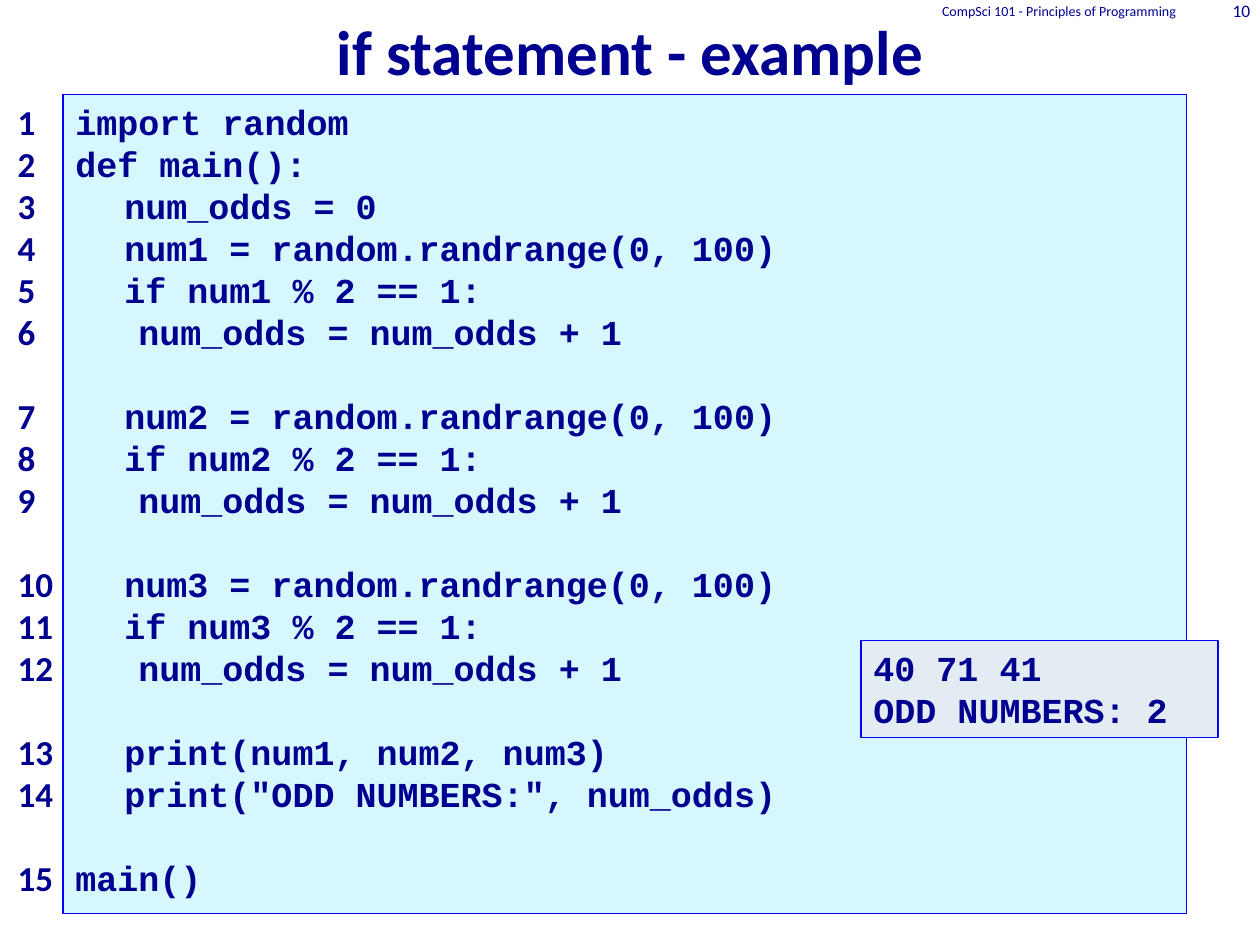
from dataclasses import dataclass

from lxml import etree
from pptx import Presentation
from pptx.dml.color import RGBColor
from pptx.enum.shapes import MSO_SHAPE
from pptx.enum.text import MSO_ANCHOR, PP_ALIGN
from pptx.oxml.ns import qn
from pptx.util import Pt

RECTANGLE = MSO_SHAPE.RECTANGLE
TOP, MIDDLE, BOTTOM = MSO_ANCHOR.TOP, MSO_ANCHOR.MIDDLE, MSO_ANCHOR.BOTTOM
LEFT, CENTER, RIGHT = PP_ALIGN.LEFT, PP_ALIGN.CENTER, PP_ALIGN.RIGHT


@dataclass(frozen=True)
class Theme:
    ink: RGBColor = RGBColor(0x00, 0x00, 0x90)
    border: RGBColor = RGBColor(0x00, 0x00, 0xFF)
    code_fill: RGBColor = RGBColor(0xD7, 0xF7, 0xFF)
    output_fill: RGBColor = RGBColor(0xE3, 0xEB, 0xF3)
    text_font: str = "Calibri"
    code_font: str = "Courier New"
    title_size: int = 36
    code_size: int = 20
    course_size: int = 8
    page_size: int = 10
    line_pitch: int = 24
    tab_stop: int = 28


THEME = Theme()

# Each block of code is separated from the next by one empty line
CODE_BLOCKS = [
    [
        "import random",
        "def main():",
        "\tnum_odds = 0",
        "\tnum1 = random.randrange(0, 100)",
        "\tif num1 % 2 == 1:",
        "\t\tnum_odds = num_odds + 1",
    ],
    *[
        [
            f"\tnum{index} = random.randrange(0, 100)",
            f"\tif num{index} % 2 == 1:",
            "\t\tnum_odds = num_odds + 1",
        ]
        for index in (2, 3)
    ],
    ["\tprint(num1, num2, num3)", '\tprint("ODD NUMBERS:", num_odds)'],
    ["main()"],
]
OUTPUT_LINES = ["40 71 41", "ODD NUMBERS: 2"]


def place(box):
    return [Pt(length) for length in box]


def add_tab_stop(paragraph, position):
    tab_list = etree.SubElement(paragraph._p.get_or_add_pPr(), qn("a:tabLst"))
    etree.SubElement(tab_list, qn("a:tab"), pos=str(Pt(position)), algn="l")


def write_lines(shape, lines, font, size, bold=True, align=LEFT, anchor=TOP):
    """Write (text, space before) pairs, one paragraph each."""
    frame = shape.text_frame
    frame.word_wrap = True
    frame.vertical_anchor = anchor
    for index, (text, space) in enumerate(lines):
        paragraph = frame.paragraphs[0] if index == 0 else frame.add_paragraph()
        paragraph.alignment = align
        if size == THEME.code_size:
            paragraph.line_spacing = Pt(THEME.line_pitch)
            paragraph.space_before = Pt(space)
        if "\t" in text:
            add_tab_stop(paragraph, THEME.tab_stop)
        run = paragraph.add_run()
        run.text = text
        run.font.name = font
        run.font.size = Pt(size)
        run.font.bold = bold
        run.font.color.rgb = THEME.ink


def add_label(slide, box, text, size, bold, align, anchor):
    label = slide.shapes.add_textbox(*place(box))
    write_lines(label, [(text, 0)], THEME.text_font, size, bold, align, anchor)


def add_panel(slide, box, fill, lines):
    panel = slide.shapes.add_shape(RECTANGLE, *place(box))
    panel.shadow.inherit = False
    panel.fill.solid()
    panel.fill.fore_color.rgb = fill
    panel.line.color.rgb = THEME.border
    panel.line.width = Pt(0.75)
    write_lines(panel, lines, THEME.code_font, THEME.code_size)


def add_listing(slide, box):
    """Line numbers in the left margin, code in the panel beside them."""
    left, top, width, height = box
    margin = 33
    code = [
        (line, THEME.line_pitch if block_index and not line_index else 0)
        for block_index, block in enumerate(CODE_BLOCKS)
        for line_index, line in enumerate(block)
    ]
    numbers = [(str(number), space) for number, (_, space) in enumerate(code, 1)]
    gutter = slide.shapes.add_textbox(*place((left, top, 51, height)))
    write_lines(gutter, numbers, THEME.text_font, THEME.code_size)
    panel_box = (left + margin, top, width - margin, height)
    add_panel(slide, panel_box, THEME.code_fill, code)


def add_header(slide, box):
    """Course name and page number along the top edge."""
    left, top, width, height = box
    page_width = 42
    course_width = width - page_width
    add_label(slide, (left, top, course_width, height),
              "CompSci 101 - Principles of Programming",
              THEME.course_size, False, RIGHT, MIDDLE)
    add_label(slide, (left + course_width, top, page_width, height), "10",
              THEME.page_size, False, RIGHT, MIDDLE)


def main():
    presentation = Presentation()
    presentation.slide_width, presentation.slide_height = Pt(720), Pt(540)
    slide = presentation.slides.add_slide(presentation.slide_layouts[6])

    # Title
    add_label(slide, (0, -6, 720, 60), "if statement - example",
              THEME.title_size, True, CENTER, BOTTOM)
    # Program and its output
    add_listing(slide, (3, 54, 675, 468))
    add_panel(slide, (492, 366, 204, 55.5), THEME.output_fill,
              [(line, 0) for line in OUTPUT_LINES])
    # Header
    add_header(slide, (463.5, 0, 258, 12))

    presentation.save("out.pptx")


if __name__ == "__main__":
    main()
